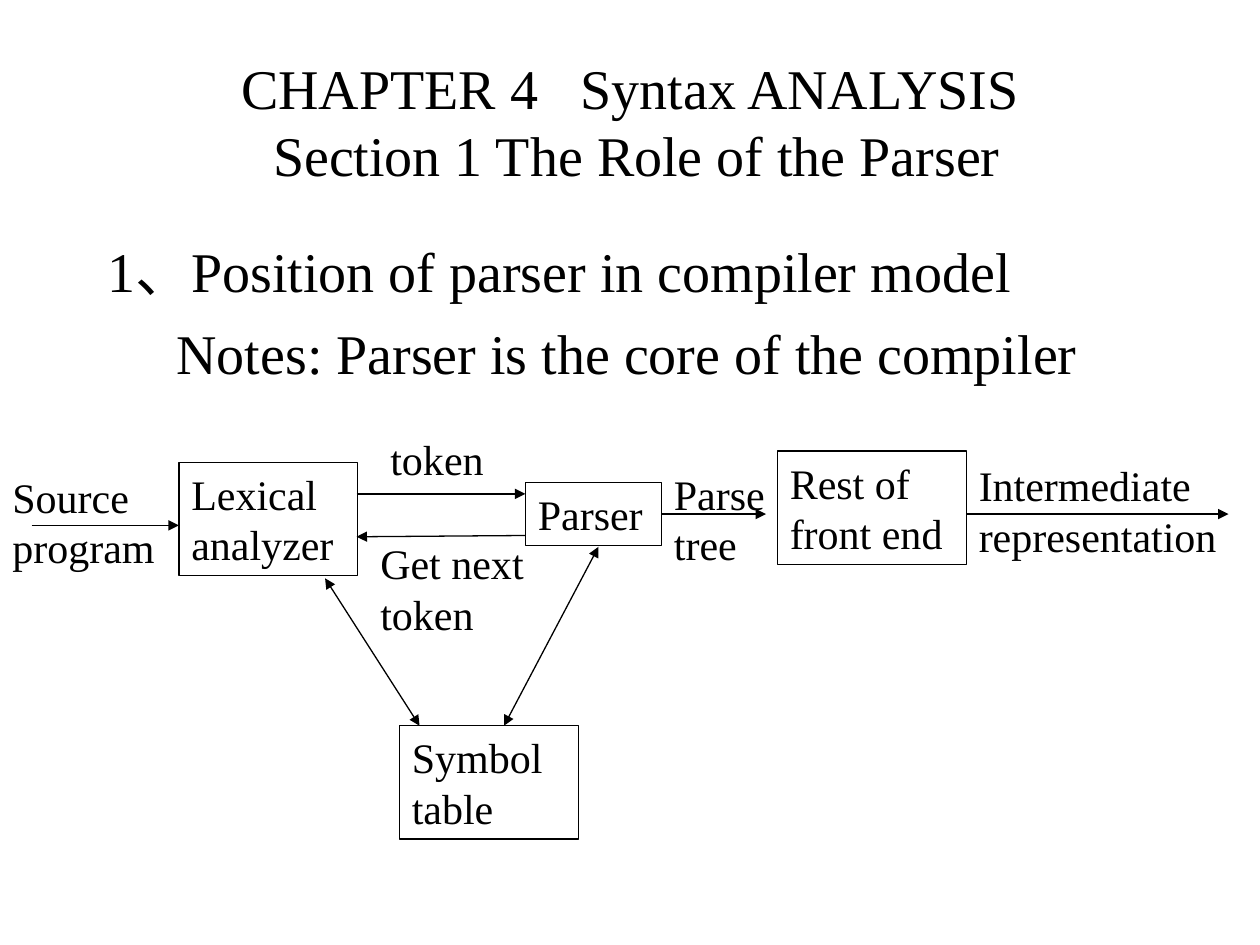
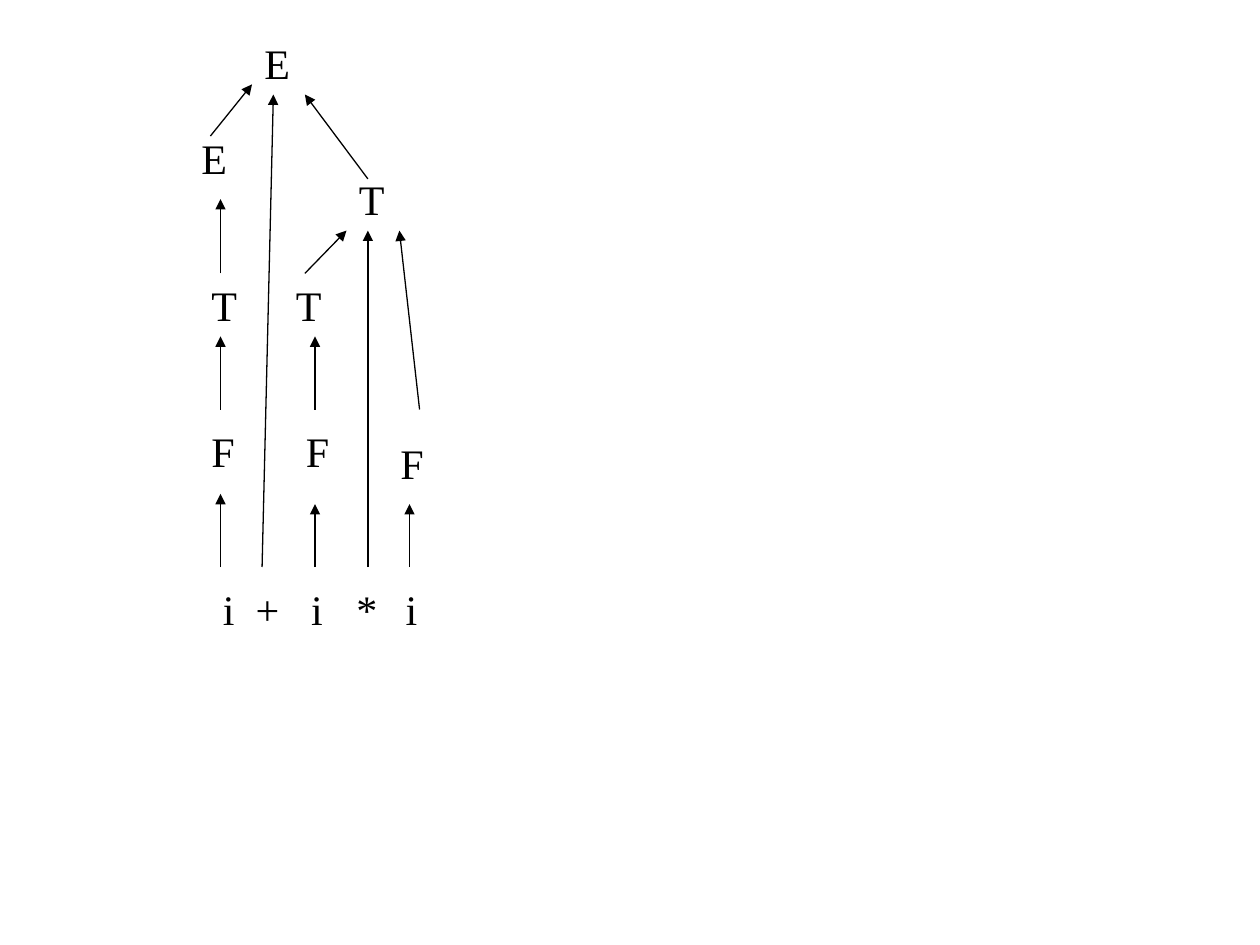
"""Build two slides on the role of the parser and a bottom-up parse tree."""
import dataclasses

import pptx
import pptx.dml.color
import pptx.enum.shapes
import pptx.enum.text
import pptx.oxml.ns
import pptx.util
from lxml import etree

Inches = pptx.util.Inches
Pt = pptx.util.Pt
ALIGN = pptx.enum.text.PP_ALIGN
ANCHOR = pptx.enum.text.MSO_ANCHOR
qn = pptx.oxml.ns.qn


@dataclasses.dataclass(frozen=True)
class Theme:
    ink: pptx.dml.color.RGBColor = pptx.dml.color.RGBColor(0, 0, 0)
    paper: pptx.dml.color.RGBColor = pptx.dml.color.RGBColor(255, 255, 255)
    font: str = "Times New Roman"
    heading: int = 32
    label: int = 24
    line: float = 0.75


THEME = Theme()

TITLE_AT = (0.75, 0.17, 8.5, 1.58)
TITLE = [("CHAPTER 4", {}), (" ", {"spacing": 16}), ("Syntax ANALYSIS", {})]
SUBTITLE = " Section 1 The Role of the Parser"
BODY_AT = (0.75, 1.83, 8.5, 5)
BODY = [
    ("1、Position of parser in compiler model", 0.38, -0.38, 0),
    ("Notes: Parser is the core of the compiler", 0.55, 0, 8),
]

STAGES = [
    ("Lexical analyzer", (1.42, 3.67, 1.42, 0.9)),
    ("Parser", (4.17, 3.83, 1.08, 0.5)),
    ("Symbol table", (3.17, 5.76, 1.42, 0.9)),
    ("Rest of front end", (6.17, 3.58, 1.5, 0.9)),
]
FLOW_LABELS = [
    ("Source program", (0, 3.69, 1.5, 0.9)),
    ("token", (3, 3.39, 0.94, 0.5)),
    ("Get next token", (2.92, 4.22, 1.43, 0.9)),
    ("Parse tree", (5.25, 3.67, 1.08, 0.9)),
    ("Intermediate representation", (7.67, 3.6, 2.33, 0.9)),
]
FLOWS = [
    (2.83, 3.92, 4.17, 3.92),
    (4.17, 4.25, 2.83, 4.26),
    (0.25, 4.17, 1.42, 4.17),
    (5.25, 4.08, 6.08, 4.08),
    (7.67, 4.08, 9.75, 4.08),
]
TABLE_LINKS = [(2.58, 4.59, 3.33, 5.76), (4.75, 4.34, 4, 5.76)]

NODE_SIZE = (0.42, 0.5)
NODES = [
    ("E", 2, 0.25), ("E", 1.5, 1), ("T", 2.75, 1.33),
    ("T", 1.58, 2.17), ("T", 2.25, 2.17),
    ("F", 1.58, 3.33), ("F", 2.33, 3.33), ("F", 3.08, 3.42),
]
TOKENS = ["i", "+", "i", "*", "i"]
TOKENS_AT = (1.67, 4.58, 5.92, 0.5)
TOKEN_TABS = [0.26, 0.7, 1.06, 1.45]
TOKEN_ROW = 4.5
REDUCTIONS = [
    (1.75, TOKEN_ROW, 1.75, 3.92),
    (2.5, TOKEN_ROW, 2.5, 4),
    (3.25, TOKEN_ROW, 3.25, 4),
    (2.08, TOKEN_ROW, 2.17, 0.75),
    (2.92, TOKEN_ROW, 2.92, 1.83),
    (1.75, 3.25, 1.75, 2.67),
    (2.5, 3.25, 2.5, 2.67),
    (3.33, 3.25, 3.17, 1.83),
    (1.75, 2.17, 1.75, 1.58),
    (2.42, 2.17, 2.75, 1.83),
    (1.67, 1.08, 2, 0.67),
    (2.92, 1.42, 2.42, 0.75),
]


def write(p, text, size=THEME.label, align=ALIGN.LEFT, before=0, spacing=0):
    p.alignment = align
    p.space_before = Pt(before)
    r = p.add_run()
    r.text = text
    r.font.name = THEME.font
    r.font.size = Pt(size)
    r.font.color.rgb = THEME.ink
    if spacing:
        r.font._element.set("spc", str(spacing * 100))


def place(sp, at):
    sp.left, sp.top, sp.width, sp.height = map(Inches, at)


def prepare(tf, anchor=ANCHOR.TOP):
    tf.auto_size = pptx.enum.text.MSO_AUTO_SIZE.NONE
    tf.vertical_anchor = anchor
    tf.word_wrap = True
    return tf


def add_label(s, text, at):
    tf = prepare(s.shapes.add_textbox(*map(Inches, at)).text_frame)
    write(tf.paragraphs[0], text)
    return tf


def add_stage(s, text, at):
    sp = s.shapes.add_shape(pptx.enum.shapes.MSO_SHAPE.RECTANGLE, *map(Inches, at))
    sp.shadow.inherit = False
    sp.fill.background()
    sp.line.color.rgb = THEME.ink
    sp.line.width = Pt(THEME.line)
    write(prepare(sp.text_frame).paragraphs[0], text)


def add_arrow(s, ends, both=False):
    sp = s.shapes.add_connector(
        pptx.enum.shapes.MSO_CONNECTOR.STRAIGHT, *map(Inches, ends))
    sp.line.color.rgb = THEME.ink
    sp.line.width = Pt(THEME.line)
    ln = sp.line._get_or_add_ln()
    for tag in ("a:headEnd", "a:tailEnd") if both else ("a:tailEnd",):
        etree.SubElement(ln, qn(tag), type="triangle")
    etree.SubElement(sp._element.spPr, qn("a:effectLst"))


def add_slide(prs, layout):
    s = prs.slides.add_slide(prs.slide_layouts[layout])
    s.background.fill.solid()
    s.background.fill.fore_color.rgb = THEME.paper
    return s


def build_parser_role(prs):
    s = add_slide(prs, 1)
    title, body = s.placeholders
    place(title, TITLE_AT)
    tf = prepare(title.text_frame, ANCHOR.MIDDLE)
    for text, style in TITLE:
        write(tf.paragraphs[0], text, THEME.heading, ALIGN.CENTER, **style)
    write(tf.add_paragraph(), SUBTITLE, THEME.heading, ALIGN.CENTER)

    place(body, BODY_AT)
    tf = prepare(body.text_frame)
    for i, (text, margin, indent, before) in enumerate(BODY):
        p = tf.add_paragraph() if i else tf.paragraphs[0]
        pPr = p._p.get_or_add_pPr()
        pPr.set("marL", str(Inches(margin)))
        pPr.set("indent", str(Inches(indent)))
        etree.SubElement(pPr, qn("a:buNone"))
        write(p, text, THEME.heading, before=before)

    for text, at in STAGES:
        add_stage(s, text, at)
    for ends in FLOWS:
        add_arrow(s, ends)
    for ends in TABLE_LINKS:
        add_arrow(s, ends, both=True)
    for text, at in FLOW_LABELS:
        add_label(s, text, at)


def build_parse_tree(prs):
    s = add_slide(prs, 6)
    tf = add_label(s, "\t".join(TOKENS), TOKENS_AT)
    tabs = etree.SubElement(tf.paragraphs[0]._p.get_or_add_pPr(), qn("a:tabLst"))
    for pos in TOKEN_TABS:
        etree.SubElement(tabs, qn("a:tab"), pos=str(Inches(pos)), algn="l")
    for text, left, top in NODES:
        add_label(s, text, (left, top, *NODE_SIZE))
    for ends in REDUCTIONS:
        add_arrow(s, ends)


def main():
    prs = pptx.Presentation()
    prs.slide_width, prs.slide_height = Inches(10), Inches(7.5)
    build_parser_role(prs)
    build_parse_tree(prs)
    prs.save("out.pptx")


if __name__ == "__main__":
    main()
